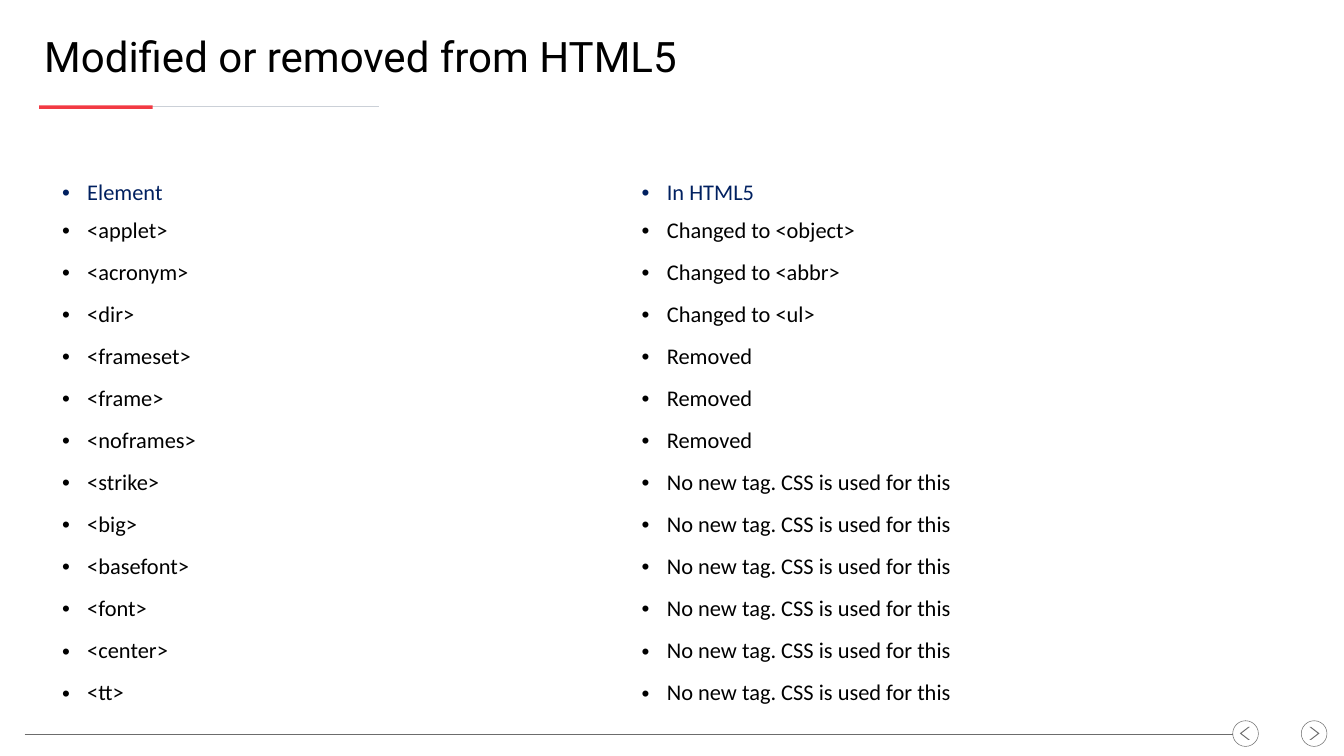
"""Builds a slide listing the elements modified or removed in HTML5."""
from lxml import etree
from pptx import Presentation
from pptx import util as u
from pptx.dml.color import RGBColor
from pptx.enum import shapes, text
from pptx.oxml import ns

GREY = "6C6C6C"
BLACK = "000000"


def color(value):
    return RGBColor.from_string(value)


class SlideBuilder:
    """Holds the style and the current slide."""

    def __init__(self, slide):
        self.slide = slide
        self.title_font = "Roboto"
        self.body_font = "Calibri"

    def title(self, wording, left, top, width, height):
        heading = self.slide.shapes.title
        heading.left, heading.top = u.Pt(left), u.Pt(top)
        heading.width, heading.height = u.Pt(width), u.Pt(height)
        frame = heading.text_frame
        frame.text = wording
        frame.vertical_anchor = text.MSO_ANCHOR.MIDDLE
        frame.auto_size = text.MSO_AUTO_SIZE.NONE
        paragraph = frame.paragraphs[0]
        paragraph.alignment = text.PP_ALIGN.LEFT
        self.font(paragraph, self.title_font, 60, BLACK)

    def font(self, paragraph, name, size, ink):
        paragraph.font.name = name
        paragraph.font.size = u.Pt(size)
        paragraph.font.bold = False
        paragraph.font.color.rgb = color(ink)

    def rule(self, left, right, y, ink, weight):
        line = self.slide.shapes.add_connector(
            shapes.MSO_CONNECTOR.STRAIGHT, u.Pt(left), u.Pt(y), u.Pt(right), u.Pt(y))
        line.line.color.rgb = color(ink)
        line.line.width = u.Pt(weight)
        etree.SubElement(line._element.spPr, ns.qn("a:effectLst"))

    def shape(self, kind, left, top, width, height, fill=None, outline=None):
        drawn = self.slide.shapes.add_shape(
            kind, u.Pt(left), u.Pt(top), u.Pt(width), u.Pt(height))
        drawn.shadow.inherit = False
        if fill:
            drawn.fill.solid()
            drawn.fill.fore_color.rgb = color(fill)
        else:
            drawn.fill.background()
        if outline:
            drawn.line.color.rgb = color(outline)
            drawn.line.width = u.Pt(0.75)
        else:
            drawn.line.fill.background()
        return drawn

    def arrow_button(self, left, chevron_left, backward=False):
        self.shape(shapes.MSO_SHAPE.OVAL, left, 1029.6, 36.7, 36.7, outline=GREY)
        chevron = self.shape(
            shapes.MSO_SHAPE.CHEVRON, chevron_left, 1038.4, 14.4, 18.7, fill=GREY)
        chevron.adjustments[0] = 0.844
        if backward:
            chevron._element.spPr.xfrm.set("flipH", "1")

    def bullet(self, paragraph):
        properties = paragraph._p.get_or_add_pPr()
        properties.set("marL", str(u.Pt(36)))
        properties.set("indent", str(-u.Pt(36)))
        etree.SubElement(properties, ns.qn("a:buFont"), typeface="Arial")
        etree.SubElement(properties, ns.qn("a:buChar"), char="•")

    def cell(self, cell, wording, ink, padding):
        cell.fill.solid()
        cell.fill.fore_color.rgb = color("FFFFFF")
        cell.vertical_anchor = text.MSO_ANCHOR.MIDDLE
        cell.margin_top = cell.margin_bottom = u.Pt(padding)
        cell.text = wording
        paragraph = cell.text_frame.paragraphs[0]
        self.bullet(paragraph)
        self.font(paragraph, self.body_font, 32, ink)

    def table(self, rows, left, top, column_width, header_height, row_height):
        columns = len(rows[0])
        height = header_height + row_height * (len(rows) - 1)
        table = self.slide.shapes.add_table(
            len(rows), columns, u.Pt(left), u.Pt(top),
            u.Pt(column_width * columns), u.Pt(height)).table
        table.horz_banding = False
        table.first_row = False
        for column in table.columns:
            column.width = u.Pt(column_width)
        for r, wordings in enumerate(rows):
            table.rows[r].height = u.Pt(row_height if r else header_height)
            ink, padding = (BLACK, 10.5) if r else ("002060", 3.6)
            for c, wording in enumerate(wordings):
                self.cell(table.cell(r, c), wording, ink, padding)


CHANGES = [("applet", "object"), ("acronym", "abbr"), ("dir", "ul")]
REMOVED = ["frameset", "frame", "noframes"]
STYLED = ["strike", "big", "basefont", "font", "center", "tt"]

rows = [("Element", "In HTML5")]
rows += [(f"<{old}>", f"Changed to <{new}>") for old, new in CHANGES]
rows += [(f"<{tag}>", "Removed") for tag in REMOVED]
rows += [(f"<{tag}>", "No new tag. CSS is used for this") for tag in STYLED]

deck = Presentation()
deck.slide_width, deck.slide_height = u.Pt(1920), u.Pt(1080)
builder = SlideBuilder(deck.slides.add_slide(deck.slide_layouts[5]))
builder.rule(56, 541.5, 152.6, "CBD0D7", 1.5)
builder.shape(shapes.MSO_SHAPE.RECTANGLE, 56, 150.5, 162, 5, fill="F23A43")
builder.arrow_button(1859, 1870.6)
builder.arrow_button(1761, 1771.2, backward=True)
builder.rule(35.3, 1761, 1048.3, GREY, 0.75)
builder.title("Modified or removed from HTML5", 56, 42.5, 1803.6, 75)
builder.table(rows, 81.4, 252.7, 828, 46, 60)
deck.save("out.pptx")
